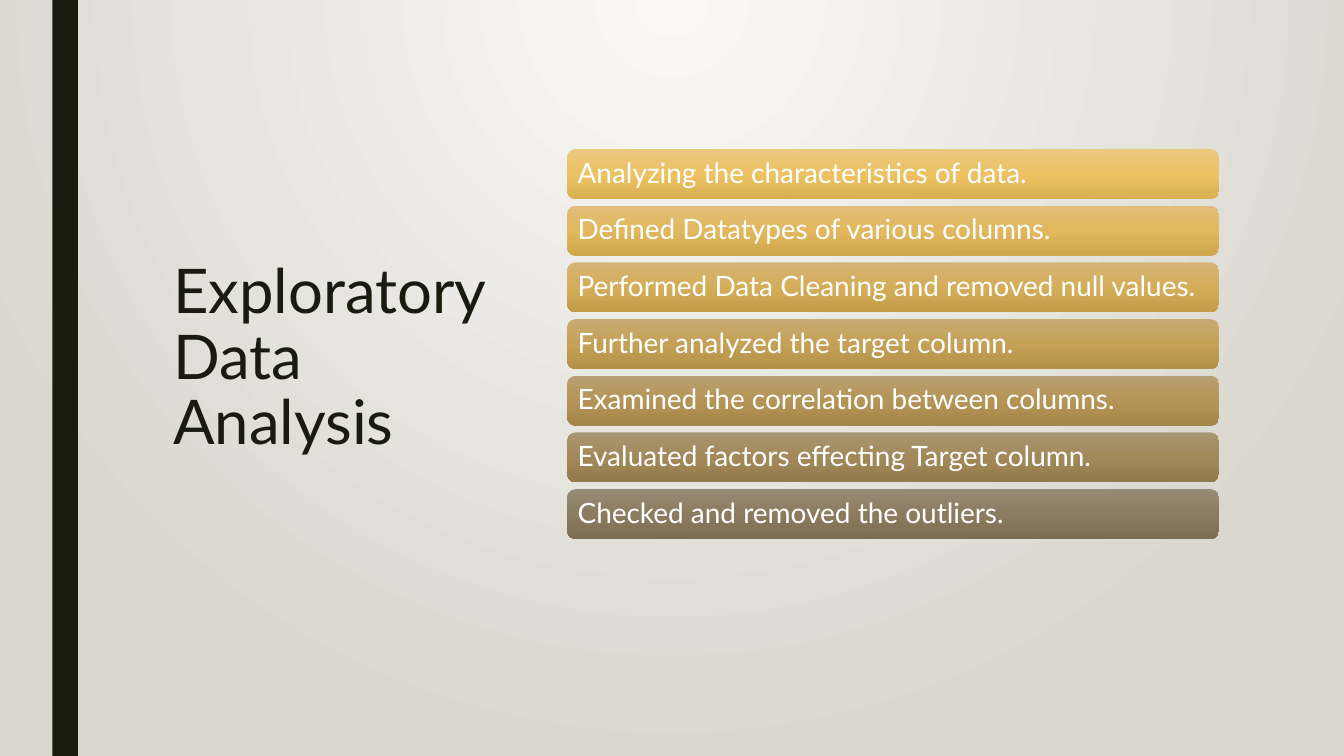
from pptx import Presentation
from pptx.dml.color import RGBColor
from pptx.enum.shapes import MSO_SHAPE as SHAPE
from pptx.enum.text import MSO_ANCHOR as ANCHOR, PP_ALIGN as ALIGN
from pptx.oxml import parse_xml
from pptx.oxml.ns import nsdecls, qn
from pptx.util import Inches, Pt

DARK = RGBColor(0x19, 0x1B, 0x0E)
WHITE = RGBColor(0xFF, 0xFF, 0xFF)
FONT = "Lato"
TITLE = "Exploratory Data Analysis"
BACKGROUND = ("FAF9F7", "D9D7CE")
STEPS = [
    ("Analyzing the characteristics of data.", ("EAC87E", "ECC263", "D9B051")),
    ("Defined Datatypes of various columns.", ("E0BE79", "E1B85D", "CFA64C")),
    ("Performed Data Cleaning and removed null values.", ("D5B476", "D4AD59", "C29C49")),
    ("Further analyzed the target column.", ("C8AA73", "C5A157", "B49149")),
    ("Examined the correlation between columns.", ("B9A072", "B59557", "A48649")),
    ("Evaluated factors effecting Target column.", ("A99673", "A18959", "927A4C")),
    ("Checked and removed the outliers.", ("978B76", "8B7C5F", "7D6E53")),
]
LINEAR = '<a:lin ang="5400000" scaled="0"/>'
RADIAL = ('<a:path path="circle"><a:fillToRect l="43000" t="0" r="43000" '
          'b="100000"/></a:path>')
SLIDE_WIDTH = 10
SLIDE_HEIGHT = SLIDE_WIDTH * 9 / 16
BAR_LEFT, BAR_WIDTH, BAR_HEIGHT = 4.22, 4.85, 0.37
FIRST_TOP, LAST_TOP = 1.11, 3.64
INSET = Inches(0.06)


def set_gradient(fill, element, colors, direction):
    """Fill with evenly spaced colour stops in the given direction."""
    fill.gradient()
    old = element.find(".//" + qn("a:gradFill"))
    gap = 100000 // (len(colors) - 1)
    stops = "".join(f'<a:gs pos="{i * gap}"><a:srgbClr val="{c}"/></a:gs>'
                    for i, c in enumerate(colors))
    new = parse_xml(f'<a:gradFill {nsdecls("a")} rotWithShape="1">'
                    f'<a:gsLst>{stops}</a:gsLst>{direction}</a:gradFill>')
    old.getparent().replace(old, new)


def add_bar(shape_type, left, top, width, height):
    """Add a shape without line or shadow."""
    s = slide.shapes.add_shape(shape_type, *map(Inches, (left, top, width, height)))
    s.shadow.inherit = False
    s.line.fill.background()
    return s


def write(s, text, size, color, spacing, **frame):
    """Write one left-aligned paragraph into a shape."""
    tf = s.text_frame
    for name, value in {"word_wrap": True, **frame}.items():
        setattr(tf, name, value)
    p = tf.paragraphs[0]
    p.alignment, p.line_spacing = ALIGN.LEFT, spacing
    r = p.add_run()
    r.text = text
    for name, value in {"name": FONT, "size": Pt(size)}.items():
        setattr(r.font, name, value)
    r.font.color.rgb = color


prs = Presentation()
prs.slide_width, prs.slide_height = Inches(SLIDE_WIDTH), Inches(SLIDE_HEIGHT)
slide = prs.slides.add_slide(prs.slide_layouts[6])
set_gradient(slide.background.fill, slide.element, BACKGROUND, RADIAL)

stripe = add_bar(SHAPE.RECTANGLE, 0.39, 0, 0.19, SLIDE_HEIGHT)
stripe.fill.solid()
stripe.fill.fore_color.rgb = DARK

title = slide.shapes.add_textbox(*map(Inches, (1.19, 1.89, 2.68, 2.19)))
write(title, TITLE, 33, DARK, 0.89, vertical_anchor=ANCHOR.TOP)

pitch = (LAST_TOP - FIRST_TOP) / (len(STEPS) - 1)
margins = {f"margin_{side}": INSET for side in ("left", "top", "right", "bottom")}
for i, (text, colors) in enumerate(STEPS):
    bar = add_bar(SHAPE.ROUNDED_RECTANGLE, BAR_LEFT, FIRST_TOP + i * pitch,
                  BAR_WIDTH, BAR_HEIGHT)
    set_gradient(bar.fill, bar.element, colors, LINEAR)
    write(bar, text, 15, WHITE, 0.9, vertical_anchor=ANCHOR.MIDDLE, **margins)

prs.save("out.pptx")
